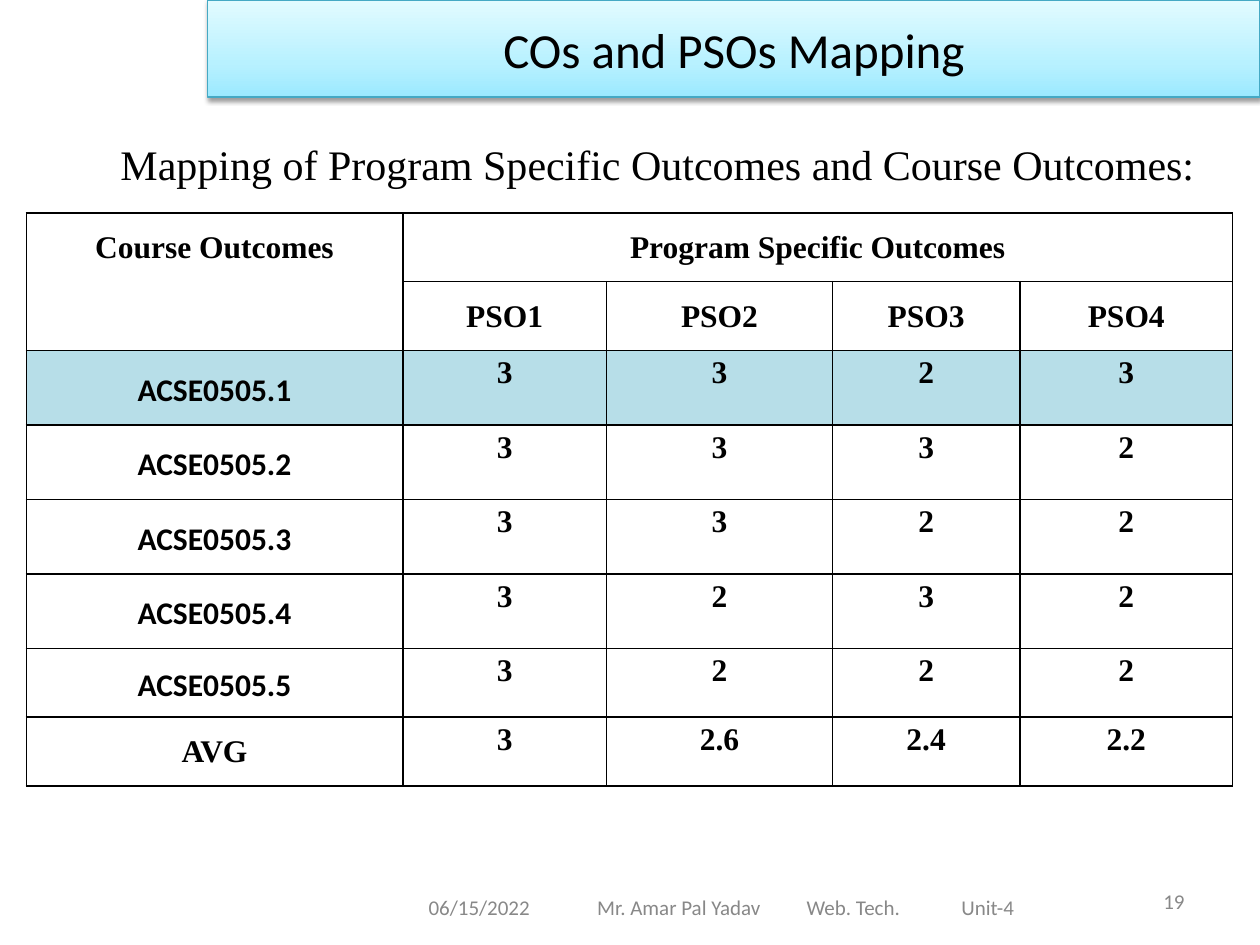
from dataclasses import dataclass

from lxml.etree import SubElement
from pptx import Presentation
from pptx.dml.color import RGBColor
from pptx.enum.shapes import MSO_SHAPE as Shape
from pptx.enum.text import MSO_ANCHOR as Anchor, PP_ALIGN as Align
from pptx.oxml import parse_xml
from pptx.oxml.ns import nsdecls, qn
from pptx.util import Cm, Pt


@dataclass(frozen=True)
class Theme:
    sans: str = "Calibri"
    serif: str = "Times New Roman"
    ink: str = "000000"
    grey: str = "888888"
    band: str = "B7DEE8"
    edge: str = "45A9C4"
    glow: tuple = ((0, "9BE9FF"), (35, "B8F1FF"), (100, "E2FBFF"))
    title: int = 28
    lead: int = 24
    body: int = 18
    small: int = 12


THEME = Theme()
COLS = (7.59, 4.11, 4.55, 3.78, 4.29)
ROWS = (1.39, 1.39, 1.5, 1.5, 1.5, 1.5, 1.39, 1.39)
HEADS = (
    ("Course Outcomes", "Program Specific Outcomes", "", "", ""),
    ("", "PSO1", "PSO2", "PSO3", "PSO4"),
)
SCORES = (
    ("ACSE0505.1", "3", "3", "2", "3"),
    ("ACSE0505.2", "3", "3", "3", "2"),
    ("ACSE0505.3", "3", "3", "2", "2"),
    ("ACSE0505.4", "3", "2", "3", "2"),
    ("ACSE0505.5", "3", "2", "2", "2"),
    ("AVG", "3", "2.6", "2.4", "2.2"),
)


def write(frame, text, size=THEME.body, font=THEME.serif, color=THEME.ink,
          bold=False, align=Align.LEFT, line=None, after=None, tabs=()):
    para = frame.paragraphs[0]
    if tabs:
        stops = SubElement(para._p.get_or_add_pPr(), qn("a:tabLst"))
        for stop in tabs:
            SubElement(stops, qn("a:tab"), pos=str(Cm(stop)), algn="l")
    para.alignment = align
    if line:
        para.line_spacing = line
    if after:
        para.space_after = Pt(after)
    run = para.add_run()
    run.text = text
    run.font.size, run.font.name, run.font.bold = Pt(size), font, bold
    run.font.color.rgb = RGBColor.from_string(color)


def add_text(slide, box, text, anchor=Anchor.TOP, left=0.25, **style):
    frame = slide.shapes.add_textbox(*map(Cm, box)).text_frame
    frame.word_wrap = True
    frame.vertical_anchor = anchor
    frame.margin_left = Cm(left)
    write(frame, text, **style)


def add_title(slide, box, text):
    """Add the title bar with its gradient and soft shadow."""
    bar = slide.shapes.add_shape(Shape.RECTANGLE, *map(Cm, box))
    bar.line.color.rgb = RGBColor.from_string(THEME.edge)
    bar.line.width = Pt(0.75)
    bar.shadow.inherit = False
    props = bar._element.spPr
    stops = "".join(
        f'<a:gs pos="{pos * 1000}"><a:srgbClr val="{color}"/></a:gs>'
        for pos, color in THEME.glow)
    props.find(qn("a:prstGeom")).addnext(parse_xml(
        f'<a:gradFill {nsdecls("a")} rotWithShape="1"><a:gsLst>{stops}</a:gsLst>'
        '<a:lin ang="16200000" scaled="0"/></a:gradFill>'))
    props.find(qn("a:effectLst")).append(parse_xml(
        f'<a:outerShdw {nsdecls("a")} blurRad="{Pt(3.1)}" dist="{Pt(1.6)}" '
        f'dir="5400000" rotWithShape="0"><a:srgbClr val="{THEME.ink}">'
        '<a:alpha val="38000"/></a:srgbClr></a:outerShdw>'))
    bar.text_frame.vertical_anchor = Anchor.MIDDLE
    write(bar.text_frame, text, size=THEME.title, font=THEME.sans,
          align=Align.CENTER)


def frame_cell(cell, fill=None):
    """Draw the four borders of a cell, then its fill."""
    props = cell._tc.get_or_add_tcPr()
    for side in ("lnL", "lnR", "lnT", "lnB"):
        props.append(parse_xml(
            f'<a:{side} {nsdecls("a")} w="{Pt(1)}"><a:solidFill>'
            f'<a:srgbClr val="{THEME.ink}"/></a:solidFill></a:{side}>'))
    if fill:
        cell.fill.solid()
        cell.fill.fore_color.rgb = RGBColor.from_string(fill)
    else:
        cell.fill.background()


def add_grid(slide, left, top):
    grid = slide.shapes.add_table(
        len(ROWS), len(COLS), Cm(left), Cm(top),
        Cm(sum(COLS)), Cm(sum(ROWS))).table
    grid.first_row = grid.horz_banding = False
    for col, width in zip(grid.columns, COLS):
        col.width = Cm(width)
    for row, height in zip(grid.rows, ROWS):
        row.height = Cm(height)
    grid.cell(0, 0).merge(grid.cell(1, 0))
    grid.cell(0, 1).merge(grid.cell(0, 4))

    for r, row in enumerate(HEADS + SCORES):
        for c, text in enumerate(row):
            cell = grid.cell(r, c)
            frame_cell(cell, THEME.band if r == len(HEADS) else None)
            if not text:
                continue
            code = text.startswith("ACSE")
            padded = r < len(HEADS) or text == "AVG"
            cell.margin_left = cell.margin_right = Cm(0.18)
            cell.margin_top = cell.margin_bottom = Cm(0.25 if padded else 0)
            cell.vertical_anchor = Anchor.MIDDLE if code else Anchor.TOP
            write(cell.text_frame, text, bold=True, align=Align.CENTER,
                  line=1.15, font=THEME.sans if code else THEME.serif,
                  after=10 if code else None)


def main():
    deck = Presentation()
    deck.slide_width, deck.slide_height = Cm(25.4), Cm(19.05)
    slide = deck.slides.add_slide(deck.slide_layouts[6])
    note = dict(size=THEME.small, font=THEME.sans, color=THEME.grey,
                anchor=Anchor.MIDDLE)
    add_text(slide, (18.21, 17.65, 5.92, 1.02), "19", align=Align.RIGHT, **note)
    add_title(slide, (4.19, 0, 21.21, 1.96), "COs and PSOs Mapping")
    add_text(slide, (6.77, 17.78, 13.97, 1.02),
             "06/15/2022\tMr. Amar Pal Yadav\tWeb. Tech.\tUnit-4",
             left=1.87, tabs=(3.4, 7.62, 10.74), **note)
    add_grid(slide, 0.53, 4.29)
    add_text(slide, (2.18, 2.67, 23.22, 2.31),
             "Mapping of Program Specific Outcomes and Course Outcomes:",
             size=THEME.lead)
    deck.save("out.pptx")


if __name__ == "__main__":
    main()
